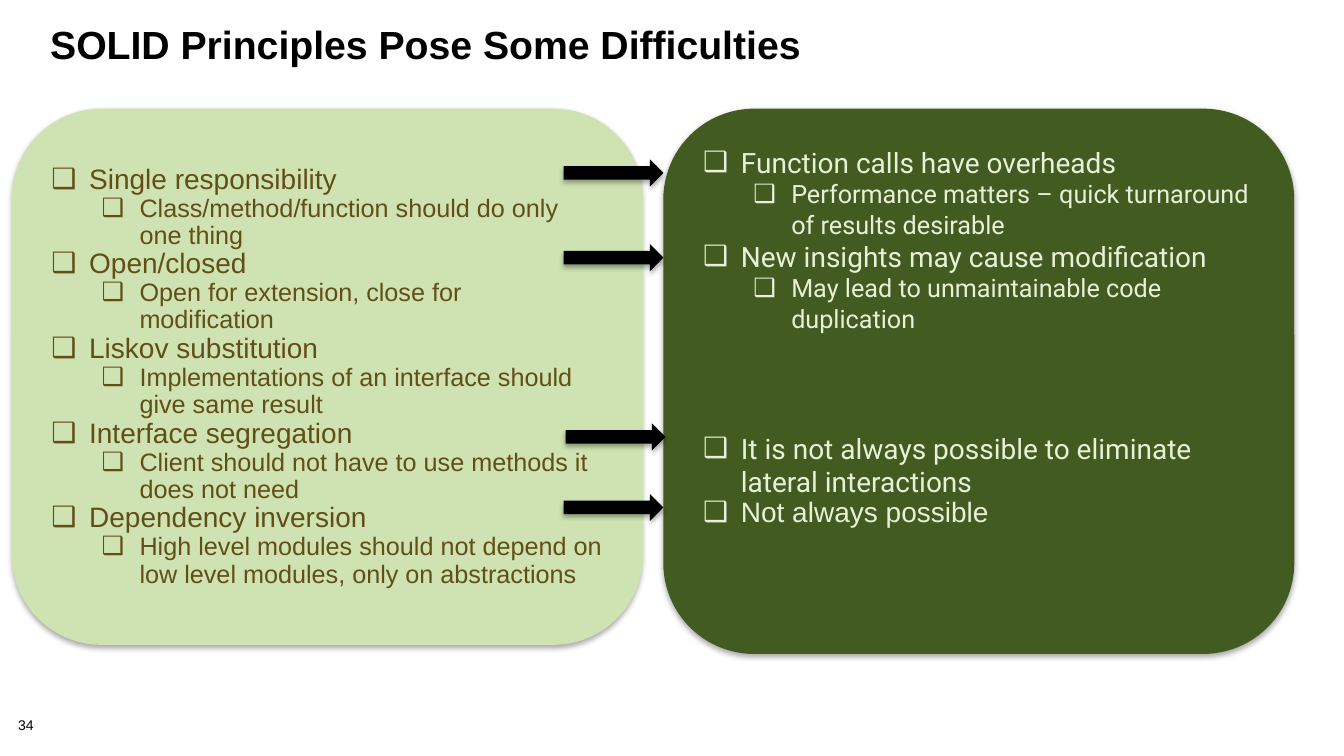
from lxml import etree
from pptx import Presentation
from pptx.dml.color import RGBColor
from pptx.enum.shapes import MSO_SHAPE
from pptx.enum.text import MSO_ANCHOR, PP_ALIGN
from pptx.oxml.ns import qn
from pptx.util import Pt

ROUNDED = MSO_SHAPE.ROUNDED_RECTANGLE
ARROW = MSO_SHAPE.RIGHT_ARROW
TOP, MIDDLE = MSO_ANCHOR.TOP, MSO_ANCHOR.MIDDLE
LEFT = PP_ALIGN.LEFT

COLORS = {
    "black": "000000",
    "light_green": "CEE3B1",
    "dark_green": "425B20",
    "brown": "624E18",
    "pale": "E7F1D8",
}
SIZES = (20, 18)
INDENTS = (27, 63)

PRINCIPLES = [
    ("Single responsibility", "Class/method/function should do only one thing"),
    ("Open/closed", "Open for extension, close for\nmodification"),
    ("Liskov substitution", "Implementations of an interface should give same result"),
    ("Interface segregation", "Client should not have to use methods it does not need"),
    ("Dependency inversion",
     "High level modules should not depend on low level modules, only on abstractions"),
]
PRINCIPLE_ITEMS = [
    (level, text, {"line_spacing": 0.9}, "Arial")
    for pair in PRINCIPLES for level, text in enumerate(pair)
]
DIFFICULTY_ITEMS = [
    (0, "Function calls have overheads", {}, "Roboto"),
    (1, "Performance matters – quick turnaround of results desirable", {}, "Roboto"),
    (0, "New insights may cause modification", {}, "Roboto"),
    (1, "May lead to unmaintainable code duplication", {}, "Roboto"),
    (0, "It is not always possible to eliminate lateral interactions",
     {"space_before": Pt(70)}, "Roboto"),
    (0, "Not always possible", {"line_spacing": 0.9}, "Arial"),
]


def set_all(target, values):
    for name, value in values.items():
        setattr(target, name, value)


def write(para, text, size, color, font="Arial", bold=False):
    for index, line in enumerate(text.split("\n")):
        if index:
            para.add_line_break()
        span = para.add_run()
        span.text = line
        set_all(span.font, {"size": Pt(size), "name": font, "bold": bold})
        span.font.color.rgb = RGBColor.from_string(COLORS[color])


def add_label(page, box, text, size, spacing, margins, bold=False):
    frame = page.shapes.add_textbox(*map(Pt, box)).text_frame
    side, edge = map(Pt, margins)
    set_all(frame, {"word_wrap": True, "vertical_anchor": TOP, "margin_left": side,
                    "margin_right": side, "margin_top": edge, "margin_bottom": edge})
    para = frame.paragraphs[0]
    para.line_spacing = spacing
    write(para, text, size, "black", bold=bold)


def add_shadow(shape):
    effects = etree.SubElement(shape._element.spPr, qn("a:effectLst"))
    shadow = etree.SubElement(effects, qn("a:outerShdw"), blurRad=str(Pt(3.5)),
                              dist=str(Pt(2.2)), dir="5400000", rotWithShape="0")
    color = etree.SubElement(shadow, qn("a:srgbClr"), val=COLORS["black"])
    etree.SubElement(color, qn("a:alpha"), val="32000")


def add_block(page, kind, box, color):
    shape = page.shapes.add_shape(kind, *map(Pt, box))
    shape.fill.solid()
    shape.fill.fore_color.rgb = RGBColor.from_string(COLORS[color])
    shape.line.fill.background()
    add_shadow(shape)
    return shape


def add_bullet(para, level):
    props = para._p.get_or_add_pPr()
    props.set("marL", str(Pt(INDENTS[level])))
    props.set("indent", str(-Pt(INDENTS[0])))
    etree.SubElement(props, qn("a:buFont"), typeface="Arial")
    etree.SubElement(props, qn("a:buChar"), char="❑")


def add_panel(page, box, fill, color, items, anchor, margin_top):
    frame = add_block(page, ROUNDED, box, fill).text_frame
    set_all(frame, {"word_wrap": True, "vertical_anchor": anchor,
                    "margin_left": Pt(9.4), "margin_right": Pt(9.4),
                    "margin_top": Pt(margin_top), "margin_bottom": Pt(5)})
    for index, (level, text, spacing, font) in enumerate(items):
        para = frame.add_paragraph() if index else frame.paragraphs[0]
        set_all(para, {"level": level, "alignment": LEFT, **spacing})
        add_bullet(para, level)
        write(para, text, SIZES[level], color, font)


def add_arrows(page, box, offsets):
    left, top, width, height = box
    for shift, drop in offsets:
        add_block(page, ARROW, (left + shift, top + drop, width, height), "black")


def main():
    deck = Presentation()
    set_all(deck, {"slide_width": Pt(960), "slide_height": Pt(540)})
    page = deck.slides.add_slide(deck.slide_layouts[6])
    add_label(page, (13, 513, 40.3, 11.5), "34", 10, 0.9, (0, 0))
    add_label(page, (28.8, 16.2, 895.7, 72), "SOLID Principles Pose Some Difficulties",
              28, 0.85, (7.2, 3.6), bold=True)
    add_panel(page, (8.6, 77.6, 450.7, 383), "light_green", "brown",
              PRINCIPLE_ITEMS, MIDDLE, 5)
    add_panel(page, (473.8, 77.6, 450.7, 389.5), "dark_green", "pale",
              DIFFICULTY_ITEMS, TOP, 7)
    add_arrows(page, (402.6, 113.8, 71.3, 19.4),
               [(0, 0), (0, 60.5), (1.4, 188.6), (0, 239)])
    deck.save("out.pptx")


if __name__ == "__main__":
    main()
